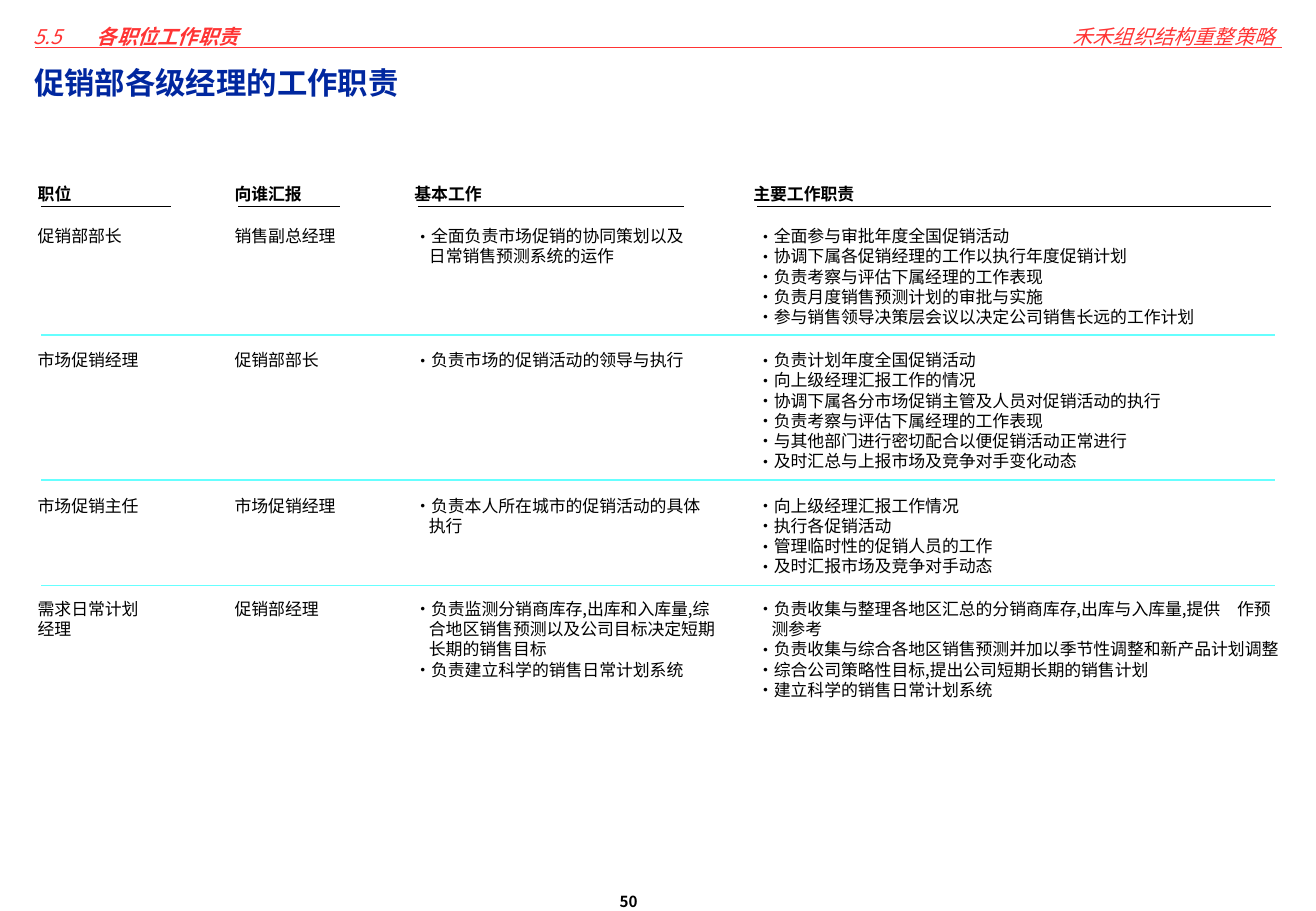
from dataclasses import dataclass

from lxml import etree
from pptx import Presentation
from pptx.dml.color import RGBColor
from pptx.enum.shapes import MSO_CONNECTOR
from pptx.enum.text import MSO_ANCHOR, MSO_AUTO_SIZE, PP_ALIGN
from pptx.oxml.ns import qn
from pptx.util import Inches, Pt

STRAIGHT = MSO_CONNECTOR.STRAIGHT
TOP = MSO_ANCHOR.TOP
NO_AUTOFIT = MSO_AUTO_SIZE.NONE
LEFT, RIGHT = PP_ALIGN.LEFT, PP_ALIGN.RIGHT


@dataclass(frozen=True)
class Style:
    """Type size, line pitch, colour and weight of one kind of text."""
    size: float
    pitch: float
    color: str = "000000"
    bold: bool = False
    italic: bool = False


@dataclass(frozen=True)
class Theme:
    """Colours, font and text styles of the slide."""
    font: str = "Noto Sans CJK SC"
    red: str = "FF3434"
    black: str = "000000"
    cyan: str = "66FFFF"
    title: Style = Style(18, 23.4, "00279F", bold=True)
    section: Style = Style(12, 15.8, "FF3434", italic=True)
    section_name: Style = Style(12, 15.8, "FF3434", bold=True, italic=True)
    heading: Style = Style(10, 12, bold=True)
    body: Style = Style(10, 12)
    page: Style = Style(9, 11, bold=True)


THEME = Theme()
WIDE_INSETS = (0.1, 0.1)
CELL_INSETS = (0.09, 0.05)
LINE_HEIGHT = 0.165
RULE_INDENT = 0.12
BULLET_INDENT = 0.12

HEADINGS = [
    ("职位", 0.22, 1.07),
    ("向谁汇报", 1.84, 0.84),
    ("基本工作", 3.32, 2.19),
    ("主要工作职责", 6.11, 4.23),
]
POSITION_LEFT, REPORT_LEFT, BASIC_LEFT, DUTY_LEFT = 0.22, 1.84, 3.32, 6.14
POSITION_WIDTH, REPORT_WIDTH, DUTY_WIDTH = 1.07, 1.39, 4.48
DIVIDERS = [2.76, 3.95, 4.82]

ROLES = [
    (1.81, 2.42, "促销部部长", "销售副总经理",
     ["全面负责市场促销的协同策划以及日常销售预测系统的运作"],
     ["全面参与审批年度全国促销活动",
      "协调下属各促销经理的工作以执行年度促销计划",
      "负责考察与评估下属经理的工作表现",
      "负责月度销售预测计划的审批与实施",
      "参与销售领导决策层会议以决定公司销售长远的工作计划"]),
    (2.83, 2.42, "市场促销经理", "促销部部长",
     ["负责市场的促销活动的领导与执行"],
     ["负责计划年度全国促销活动",
      "向上级经理汇报工作的情况",
      "协调下属各分市场促销主管及人员对促销活动的执行",
      "负责考察与评估下属经理的工作表现",
      "与其他部门进行密切配合以便促销活动正常进行",
      "及时汇总与上报市场及竞争对手变化动态"]),
    (4.03, 2.56, "市场促销主任", "市场促销经理",
     ["负责本人所在城市的促销活动的具体执行"],
     ["向上级经理汇报工作情况",
      "执行各促销活动",
      "管理临时性的促销人员的工作",
      "及时汇报市场及竞争对手动态"]),
    (4.88, 2.66, "需求日常计划经理", "促销部经理",
     ["负责监测分销商库存,出库和入库量,综合地区销售预测以及公司目标决定短期长期的销售目标",
      "负责建立科学的销售日常计划系统"],
     ["负责收集与整理各地区汇总的分销商库存,出库与入库量,提供　作预测参考",
      "负责收集与综合各地区销售预测并加以季节性调整和新产品计划调整",
      "综合公司策略性目标,提出公司短期长期的销售计划",
      "建立科学的销售日常计划系统"]),
]


def add_run(paragraph, text, style):
    """Add one run of text in the given style."""
    run = paragraph.add_run()
    run.text = text
    run.font.name = THEME.font
    run.font.size = Pt(style.size)
    run.font.bold = style.bold
    run.font.italic = style.italic
    run.font.color.rgb = RGBColor.from_string(style.color)
    etree.SubElement(run.font._element, qn("a:ea"), typeface=THEME.font)
    paragraph.line_spacing = Pt(style.pitch)


def prepare_frame(shape, insets):
    """Set wrapping, anchor and insets of a shape and return its text frame."""
    frame = shape.text_frame
    frame.word_wrap = True
    frame.auto_size = NO_AUTOFIT
    frame.vertical_anchor = TOP
    frame.margin_left = frame.margin_right = Inches(insets[0])
    frame.margin_top = frame.margin_bottom = Inches(insets[1])
    return frame


def add_frame(slide, left, top, width, height, insets=CELL_INSETS):
    """Add a text box and return its text frame."""
    box = slide.shapes.add_textbox(*map(Inches, (left, top, width, height)))
    return prepare_frame(box, insets)


def add_bullet(paragraph):
    """Give a paragraph a hanging bullet."""
    indent = Inches(BULLET_INDENT)
    properties = paragraph._p.get_or_add_pPr()
    properties.set("marL", str(indent))
    properties.set("indent", str(-indent))
    color = etree.SubElement(properties, qn("a:buClr"))
    etree.SubElement(color, qn("a:srgbClr"), val=THEME.black)
    etree.SubElement(properties, qn("a:buFont"), typeface=THEME.font)
    etree.SubElement(properties, qn("a:buChar"), char="•")


def add_bullets(slide, left, top, width, items):
    """Add a text box holding a bulleted list."""
    frame = add_frame(slide, left, top, width, 0.1 + LINE_HEIGHT * len(items))
    for index, item in enumerate(items):
        paragraph = frame.add_paragraph() if index else frame.paragraphs[0]
        add_bullet(paragraph)
        add_run(paragraph, item, THEME.body)


def add_rule(slide, left, top, width, color):
    """Add a horizontal line."""
    line = slide.shapes.add_connector(
        STRAIGHT, Inches(left), Inches(top), Inches(left + width), Inches(top))
    line.line.color.rgb = RGBColor.from_string(color)
    line.line.width = Pt(1)
    etree.SubElement(line._element.spPr, qn("a:effectLst"))


def add_header(slide, left, top, width):
    """Add the section name, the report name and the red rule below them."""
    add_rule(slide, left + 0.11, top + 0.31, width - 0.15, THEME.red)
    paragraph = add_frame(slide, left, top, 3.43, 0.4, WIDE_INSETS).paragraphs[0]
    tabs = etree.SubElement(paragraph._p.get_or_add_pPr(), qn("a:tabLst"))
    etree.SubElement(tabs, qn("a:tab"), pos=str(Inches(0.52)), algn="l")
    add_run(paragraph, "5.5\t", THEME.section)
    add_run(paragraph, "各职位工作职责", THEME.section_name)
    report = add_frame(
        slide, left + width - 3.04, top, 3.04, 0.4, WIDE_INSETS).paragraphs[0]
    report.alignment = RIGHT
    add_run(report, "禾禾组织结构重整策略", THEME.section)


def add_title(slide, left, top, width, height):
    """Place and fill the title placeholder."""
    title = slide.shapes.title
    title.left, title.top, title.width, title.height = map(
        Inches, (left, top, width, height))
    paragraph = prepare_frame(title, WIDE_INSETS).paragraphs[0]
    paragraph.alignment = LEFT
    add_run(paragraph, "促销部各级经理的工作职责", THEME.title)


def add_headings(slide, top):
    """Add the underlined column headings."""
    for text, left, rule_width in HEADINGS:
        frame = add_frame(slide, left, top, rule_width + RULE_INDENT, 0.26)
        add_run(frame.paragraphs[0], text, THEME.heading)
        add_rule(slide, left + RULE_INDENT, top + 0.24, rule_width, THEME.black)


def add_role(slide, top, basic_width, position, report, basics, duties):
    """Add one row of the role overview."""
    for text, left, width in ((position, POSITION_LEFT, POSITION_WIDTH),
                              (report, REPORT_LEFT, REPORT_WIDTH)):
        frame = add_frame(slide, left, top, width, 0.26)
        add_run(frame.paragraphs[0], text, THEME.body)
    add_bullets(slide, BASIC_LEFT, top, basic_width, basics)
    add_bullets(slide, DUTY_LEFT, top, DUTY_WIDTH, duties)


def main():
    """Build and save the slide."""
    presentation = Presentation()
    presentation.slide_width = Inches(10.83)
    presentation.slide_height = Inches(7.5)
    slide = presentation.slides.add_slide(presentation.slide_layouts[5])
    add_header(slide, 0.18, 0.08, 10.41)
    add_title(slide, 0.18, 0.4, 9.88, 0.87)
    add_headings(slide, 1.46)
    for role in ROLES:
        add_role(slide, *role)
    for top in DIVIDERS:
        add_rule(slide, 0.34, top, 10.15, THEME.cyan)
    page = add_frame(slide, 5.1, 7.34, 0.65, 0.16, (0, 0))
    add_run(page.paragraphs[0], "50", THEME.page)
    presentation.save("out.pptx")


if __name__ == "__main__":
    main()
